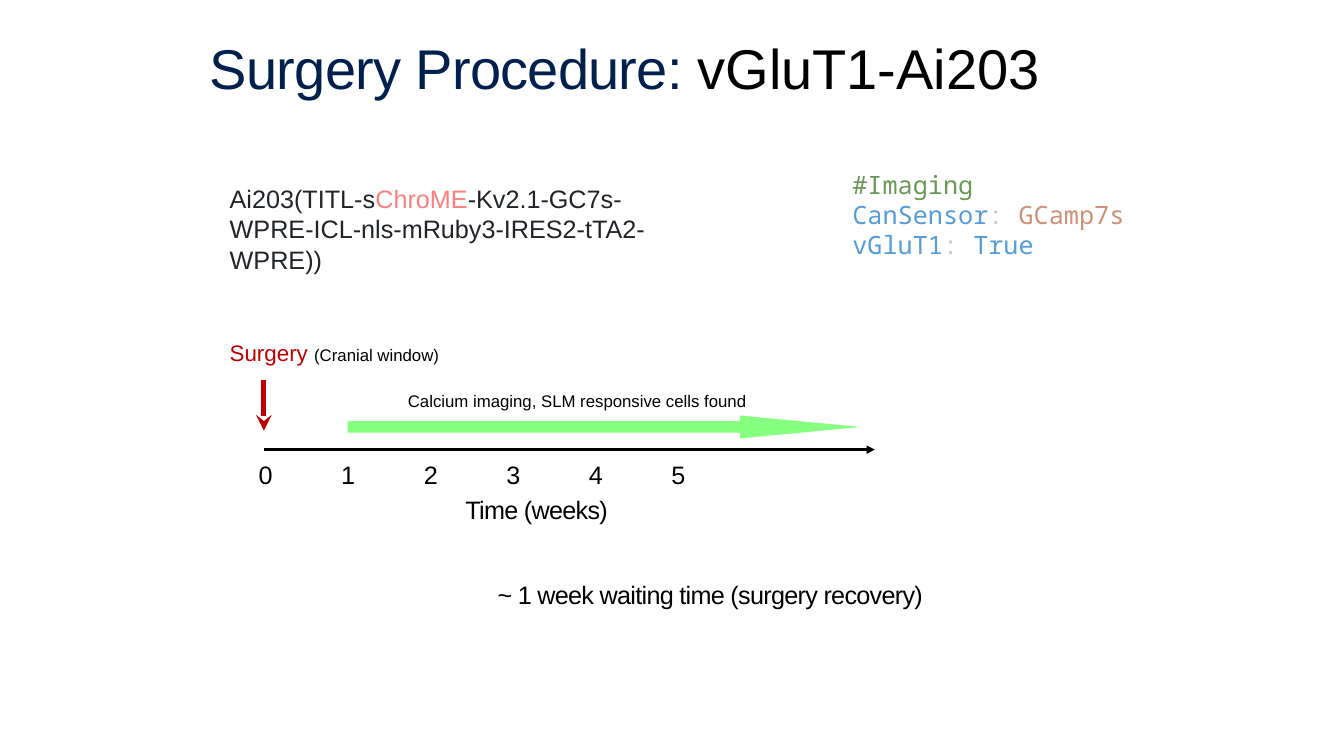
from lxml.etree import SubElement
from pptx import Presentation
from pptx.dml.color import RGBColor
from pptx.enum.shapes import MSO_CONNECTOR, MSO_SHAPE
from pptx.enum.text import MSO_ANCHOR, PP_ALIGN
from pptx.oxml.ns import qn
from pptx.util import Cm, Pt

BLACK, RED, GREEN, INK = "000000", "C00000", "87FF80", "212529"
KEY, COLON = "569CD6", "CCCCCC"
SANS, MONO = "Arial", "Noto Sans Mono"
WEEK = 2.08  # distance between week labels, in cm


def color(hex_string):
    return RGBColor.from_string(hex_string)


def add_runs(paragraph, runs, font=SANS):
    """Each run is (text, colour, size in points, letter spacing in points)."""
    for text, hex_string, size, spacing in runs:
        run = paragraph.add_run()
        run.text = text
        run.font.name = font
        run.font.size = Pt(size)
        run.font.color.rgb = color(hex_string)
        if spacing:
            run.font._element.set("spc", str(int(spacing * 100)))


prs = Presentation()
prs.slide_width, prs.slide_height = Cm(33.87), Cm(19.05)
slide = prs.slides.add_slide(prs.slide_layouts[5])

# Title
title = slide.shapes.title
title.left, title.top, title.width, title.height = Cm(1.14), Cm(0.66), Cm(29.21), Cm(3.68)
title.text_frame.vertical_anchor = MSO_ANCHOR.TOP
title.text_frame.margin_top = Cm(0.38)
heading = title.text_frame.paragraphs[0]
heading.alignment = PP_ALIGN.CENTER
heading.line_spacing = 0.9
add_runs(heading, [("Surgery Procedure: ", "01204E", 40, -0.5),
                   ("vGluT1-Ai203", BLACK, 40, 0)])

# Text blocks: left, top, width, height, font, paragraphs
imaging_settings = [
    [("#Imaging", "6A9955", 18, 0)],
    [("CanSensor", KEY, 18, 0), (": ", COLON, 18, 0), ("GCamp7s", "CE9178", 18, 0)],
    [("vGluT1", KEY, 18, 0), (": ", COLON, 18, 0), ("True", KEY, 18, 0)],
]
construct = [[
    ("Ai203(TITL-s", INK, 18, 0),
    ("ChroME", "FF7F7F", 18, 0),
    ("-Kv2.1-GC7s-WPRE-ICL-nls-mRuby3-IRES2-tTA2-WPRE))", INK, 18, 0),
]]
surgery = [[("Surgery ", RED, 16, 0), ("(Cranial window)", BLACK, 12, 0)]]
imaging_phase = [[("Calcium imaging, SLM responsive cells found", BLACK, 12, 0)]]
axis_title = [[("Time (weeks)", BLACK, 18, -0.5)]]
waiting_time = [[("~ 1 week waiting time (surgery recovery)", BLACK, 18, -0.5)]]

for left, top, width, height, font, paragraphs in [
    (21.23, 4.14, 10.46, 2.57, MONO, imaging_settings),
    (5.54, 4.5, 12.19, 2.57, SANS, construct),
    (5.54, 8.41, 12.6, 0.94, SANS, surgery),
    (10.03, 9.73, 15.39, 0.77, SANS, imaging_phase),
    (11.48, 12.34, 7.16, 1.03, SANS, axis_title),
    (12.29, 14.48, 11.63, 1.03, SANS, waiting_time),
]:
    frame = slide.shapes.add_textbox(Cm(left), Cm(top), Cm(width), Cm(height)).text_frame
    frame.word_wrap = True
    for index, runs in enumerate(paragraphs):
        paragraph = frame.add_paragraph() if index else frame.paragraphs[0]
        add_runs(paragraph, runs, font)

# Week labels, spaced by tab stops
weeks = slide.shapes.add_textbox(Cm(6.27), Cm(11.46), Cm(14), Cm(1.03)).text_frame
weeks.word_wrap = True
week_labels = weeks.paragraphs[0]
tab_stops = SubElement(week_labels._p.get_or_add_pPr(), qn("a:tabLst"))
for week in range(1, 6):
    SubElement(tab_stops, qn("a:tab"), pos=str(Cm(week * WEEK)), algn="l")
add_runs(week_labels, [("\t".join(str(week) for week in range(6)), BLACK, 18, 0)])

# Time axis and surgery arrow
for x1, y1, x2, y2, hex_string, weight, head in [
    (6.65, 11.33, 22.05, 11.33, BLACK, 2, "triangle"),
    (6.65, 9.58, 6.65, 10.85, RED, 3.75, "stealth"),
]:
    arrow = slide.shapes.add_connector(MSO_CONNECTOR.STRAIGHT, Cm(x1), Cm(y1), Cm(x2), Cm(y2))
    arrow.line.color.rgb = color(hex_string)
    arrow.line.width = Pt(weight)
    SubElement(arrow.line._get_or_add_ln(), qn("a:tailEnd"), type=head)
    SubElement(arrow._element.spPr, qn("a:effectLst"))

# Imaging period
period = slide.shapes.add_shape(MSO_SHAPE.RIGHT_ARROW, Cm(8.76), Cm(10.47), Cm(12.93), Cm(0.58))
period.adjustments[0], period.adjustments[1] = 0.5, 5.25
period.shadow.inherit = False
period.fill.solid()
period.fill.fore_color.rgb = color(GREEN)
period.line.fill.background()

prs.save("out.pptx")
